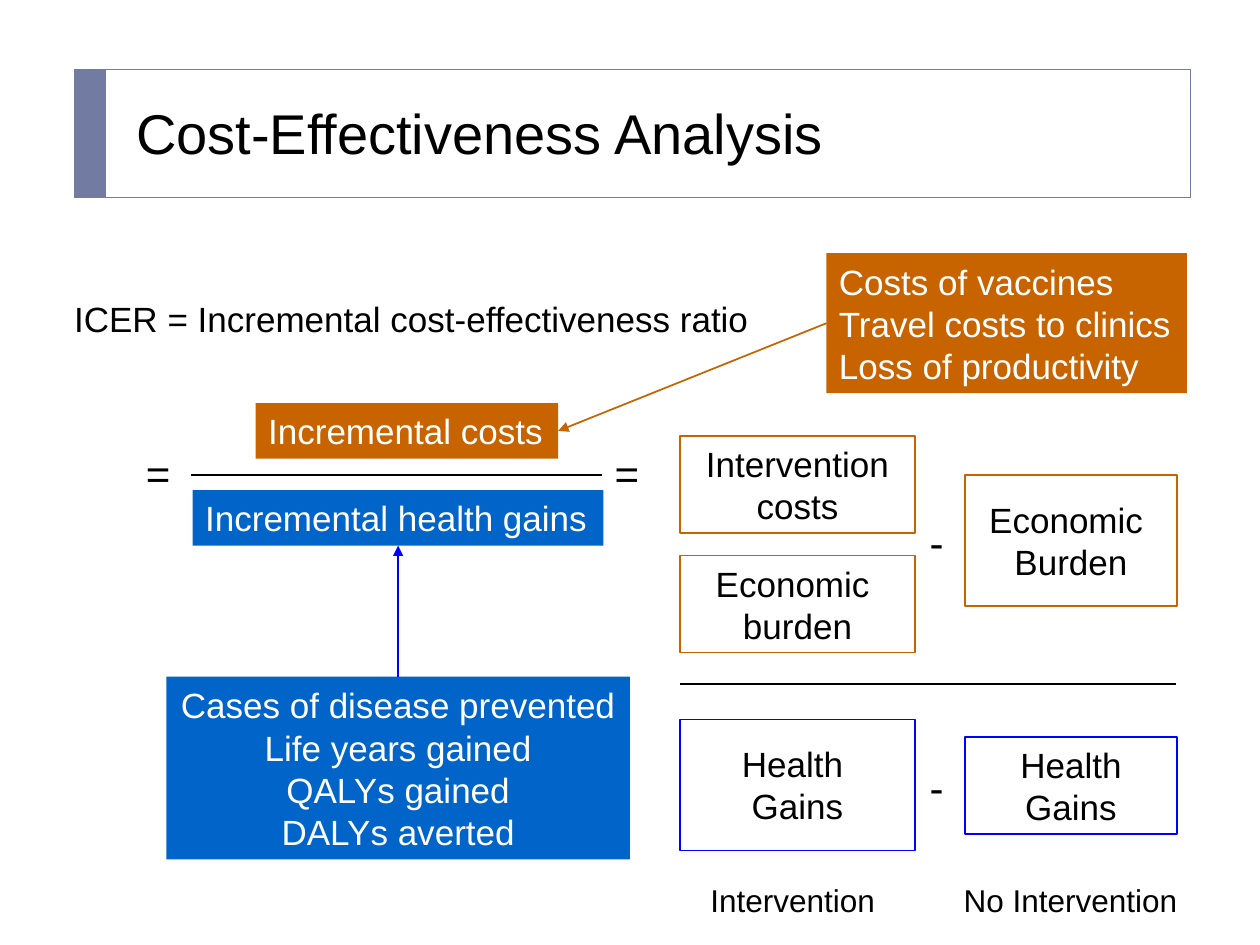
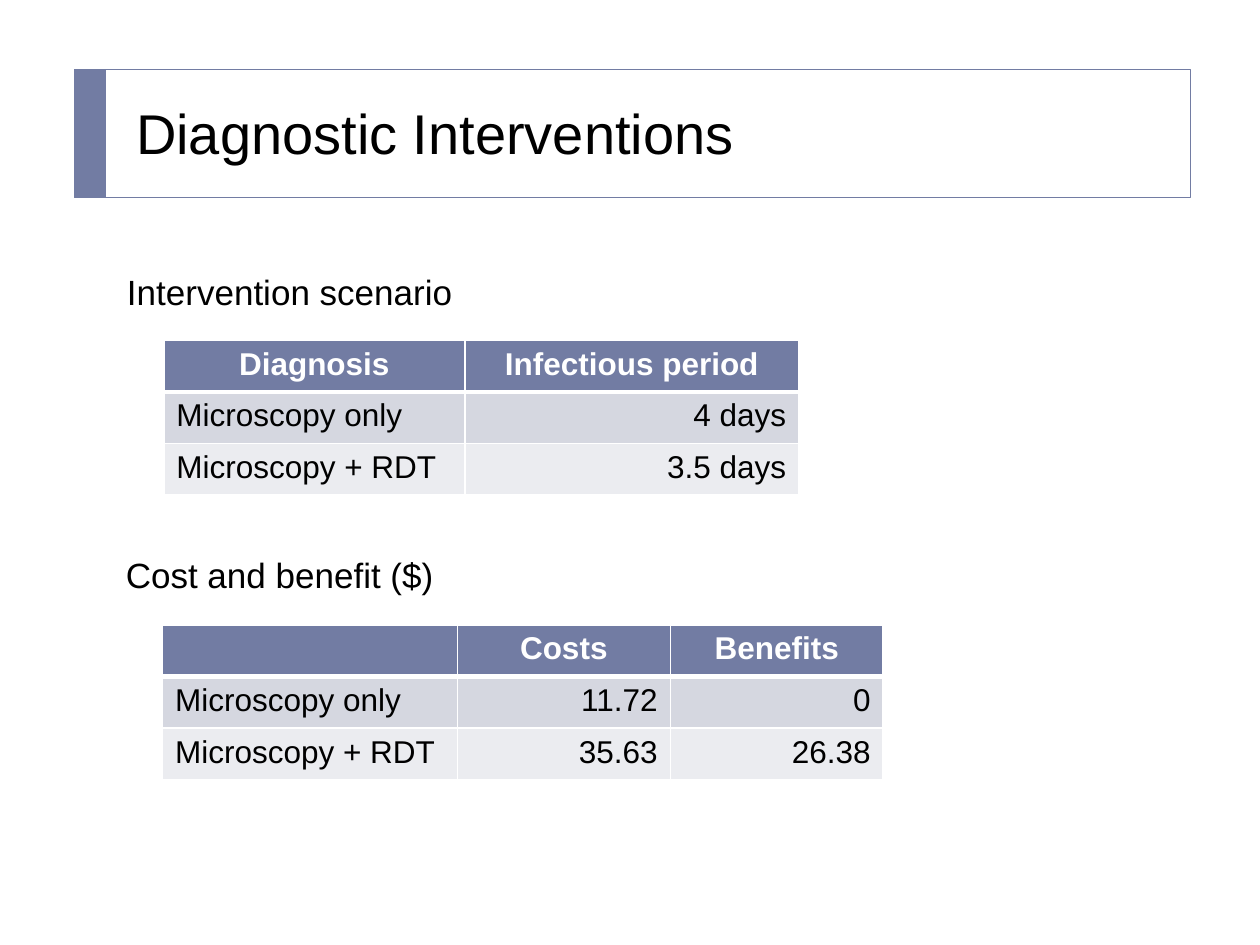
from lxml.etree import SubElement
from pptx import Presentation
from pptx.dml.color import RGBColor
from pptx.enum.shapes import MSO_CONNECTOR as Link, MSO_SHAPE as Preset
from pptx.enum.text import MSO_ANCHOR as Anchor, PP_ALIGN as Align
from pptx.oxml.ns import qn
from pptx.util import Emu, Pt

SLATE, ORANGE, BLUE, PURE_BLUE = "727CA3", "C86400", "0064C8", "0000FF"
BLACK, WHITE = "000000", "FFFFFF"
ROW_FILLS = [SLATE, "D5D7E0", "EBECF0"]
FONT = "Arial"
EMU_PER_PX = 9144  # 100 px to the inch

BAND = (59, 55, 886, 102)
BAND_TAB = (59, 55, 25, 102)
TITLE_AREA = (98, 70, 831, 70)

# Two columns of the expanded ratio: left edge and width
WITH_X, WITH_W = 540, 186
WITHOUT_X, WITHOUT_W = 766, 168
MINUS_X, MINUS_W = 728, 32

ICER_TITLE = "Cost-Effectiveness Analysis"
ICER_LABELS = [  # area, text, size
    ((49, 231, 700, 44), "ICER = Incremental cost-effectiveness ratio", 20),
    ((106, 350, 44, 50), "=", 24),
    ((478, 350, 44, 50), "=", 24),
    ((MINUS_X, 405, MINUS_W, 50), "-", 24),
    ((MINUS_X, 599, MINUS_W, 50), "-", 24),
    ((554, 694, 157, 40), "Intervention", 18),
    ((755, 694, 193, 40), "No Intervention", 18),
]
FILLED_BOXES = {  # name: area, text, fill, alignment
    "costs": ((203, 320, 240, 44), "Incremental costs", ORANGE, Align.LEFT),
    "gains": ((153, 389, 326, 44), "Incremental health gains", BLUE, Align.LEFT),
    "gain examples": (
        (132, 537, 368, 145),
        "Cases of disease prevented\nLife years gained\nQALYs gained\nDALYs averted",
        BLUE, Align.CENTER),
    "cost examples": (
        (656, 201, 286, 111),
        "Costs of vaccines\nTravel costs to clinics\nLoss of productivity",
        ORANGE, Align.LEFT),
}
OUTLINED_BOXES = [  # area, text, line
    ((WITH_X, 346, WITH_W, 77), "Intervention costs", ORANGE),
    ((WITH_X, 441, WITH_W, 77), "Economic \nburden", ORANGE),
    ((WITHOUT_X, 377, WITHOUT_W, 104), "Economic \nBurden", ORANGE),
    ((WITH_X, 571, WITH_W, 104), "Health \nGains", PURE_BLUE),
    ((WITHOUT_X, 585, WITHOUT_W, 77), "Health\nGains", PURE_BLUE),
]
FRACTION_BARS = [(152, 478, 377), (540, 933, 543)]  # from x, to x, y
ARROWS = [  # from box, side, to box, side, colour
    ("cost examples", 1, "costs", 3, ORANGE),
    ("gain examples", 0, "gains", 2, PURE_BLUE),
]

DIAGNOSTIC_TITLE = "Diagnostic Interventions"
DIAGNOSTIC_LABELS = [
    ((91, 209, 540, 44), "Intervention scenario", 20),
    ((90, 436, 266, 40), "Cost and benefit ($)", 20),
]
ROW_HEIGHT = 41
TABLES = [  # left, top, column widths, rows
    (130, 270, [239, 265], [
        ["Diagnosis", "Infectious period"],
        ["Microscopy only", "4 days"],
        ["Microscopy + RDT", "3.5 days"],
    ]),
    (129, 496, [234, 169, 169], [
        ["", "Costs", "Benefits"],
        ["Microscopy only", "11.72", "0"],
        ["Microscopy + RDT", "35.63", "26.38"],
    ]),
]


def px(*lengths):
    return [Emu(length * EMU_PER_PX) for length in lengths]


def rgb(color):
    return RGBColor.from_string(color)


def write(frame, text, size, color=BLACK, align=Align.LEFT, bold=False):
    """Fill a text frame, one paragraph for each line of text."""
    frame.word_wrap = True
    frame.vertical_anchor = Anchor.MIDDLE
    for index, line in enumerate(text.split("\n")):
        para = frame.add_paragraph() if index else frame.paragraphs[0]
        para.alignment = align
        span = para.add_run()
        span.text = line
        font = span.font
        font.name, font.size, font.bold = FONT, Pt(size), bold
        font.color.rgb = rgb(color)


def add_box(page, area, fill=None, line=None, weight=1):
    box = page.shapes.add_shape(Preset.RECTANGLE, *px(*area))
    box.shadow.inherit = False
    if fill:
        box.fill.solid()
        box.fill.fore_color.rgb = rgb(fill)
    else:
        box.fill.background()
    if line:
        box.line.color.rgb = rgb(line)
        box.line.width = Pt(weight)
    else:
        box.line.fill.background()
    return box


def add_labels(page, labels):
    for area, text, size in labels:
        label = page.shapes.add_textbox(*px(*area))
        write(label.text_frame, text, size)


def add_line(page, ends, color, arrow=False):
    line = page.shapes.add_connector(Link.STRAIGHT, *px(*ends))
    line.line.color.rgb = rgb(color)
    line.line.width = Pt(1)
    properties = line._element.spPr
    if arrow:
        SubElement(properties.find(qn("a:ln")), qn("a:tailEnd"), type="triangle")
    SubElement(properties, qn("a:effectLst"))
    return line


def add_borders(cell, row):
    """White cell borders, heavier between the header and the body."""
    properties = cell._tc.get_or_add_tcPr()
    top, bottom = 3 if row == 1 else 1, 3 if row == 0 else 1
    for side, weight in (("L", 1), ("R", 1), ("T", top), ("B", bottom)):
        border = SubElement(properties, qn(f"a:ln{side}"), w=str(Pt(weight)))
        fill = SubElement(border, qn("a:solidFill"))
        SubElement(fill, qn("a:srgbClr"), val=WHITE)


def add_data_table(page, left, top, widths, rows):
    area = px(left, top, sum(widths), ROW_HEIGHT * len(rows))
    table = page.shapes.add_table(len(rows), len(widths), *area).table
    for column, width in zip(table.columns, px(*widths)):
        column.width = width
    for r, values in enumerate(rows):
        for c, value in enumerate(values):
            cell = table.cell(r, c)
            add_borders(cell, r)
            cell.fill.solid()
            cell.fill.fore_color.rgb = rgb(ROW_FILLS[r])
            if not value:
                continue
            if r == 0:
                write(cell.text_frame, value, 18, WHITE, Align.CENTER, bold=True)
            else:
                write(cell.text_frame, value, 18, align=Align.RIGHT if c else Align.LEFT)
            cell.vertical_anchor = Anchor.TOP


def set_up_layout(layout, page):
    """Move the title band from a page to the layout, and place its title."""
    bands = [add_box(page, BAND, line=SLATE, weight=0.5),
             add_box(page, BAND_TAB, fill=SLATE)]
    for index, band in enumerate(bands):
        band._element.nvSpPr.cNvPr.set("id", str(100 + index))
        layout.shapes._spTree.insert(2 + index, band._element)
    title = layout.placeholders[0]
    title.left, title.top, title.width, title.height = px(*TITLE_AREA)


def add_page(deck, layout, title):
    page = deck.slides.add_slide(layout)
    write(page.shapes.title.text_frame, title, 32)
    return page


def fill_icer_page(page):
    add_labels(page, ICER_LABELS)
    boxes = {}
    for name, (area, text, fill, align) in FILLED_BOXES.items():
        boxes[name] = add_box(page, area, fill=fill)
        write(boxes[name].text_frame, text, 20, WHITE, align)
    for area, text, line in OUTLINED_BOXES:
        box = add_box(page, area, line=line)
        write(box.text_frame, text, 20, align=Align.CENTER)
    for start, end, y in FRACTION_BARS:
        add_line(page, (start, y, end, y), BLACK)
    for source, source_side, target, target_side, color in ARROWS:
        arrow = add_line(page, (0, 0, 0, 0), color, arrow=True)
        arrow.begin_connect(boxes[source], source_side)
        arrow.end_connect(boxes[target], target_side)


def fill_diagnostic_page(page):
    add_labels(page, DIAGNOSTIC_LABELS)
    for table in TABLES:
        add_data_table(page, *table)


def main():
    deck = Presentation()
    deck.slide_width, deck.slide_height = px(1000, 750)
    layout = deck.slide_layouts.get_by_name("Title Only")
    icer_page = add_page(deck, layout, ICER_TITLE)
    set_up_layout(layout, icer_page)
    fill_icer_page(icer_page)
    fill_diagnostic_page(add_page(deck, layout, DIAGNOSTIC_TITLE))
    deck.save("out.pptx")


if __name__ == "__main__":
    main()
